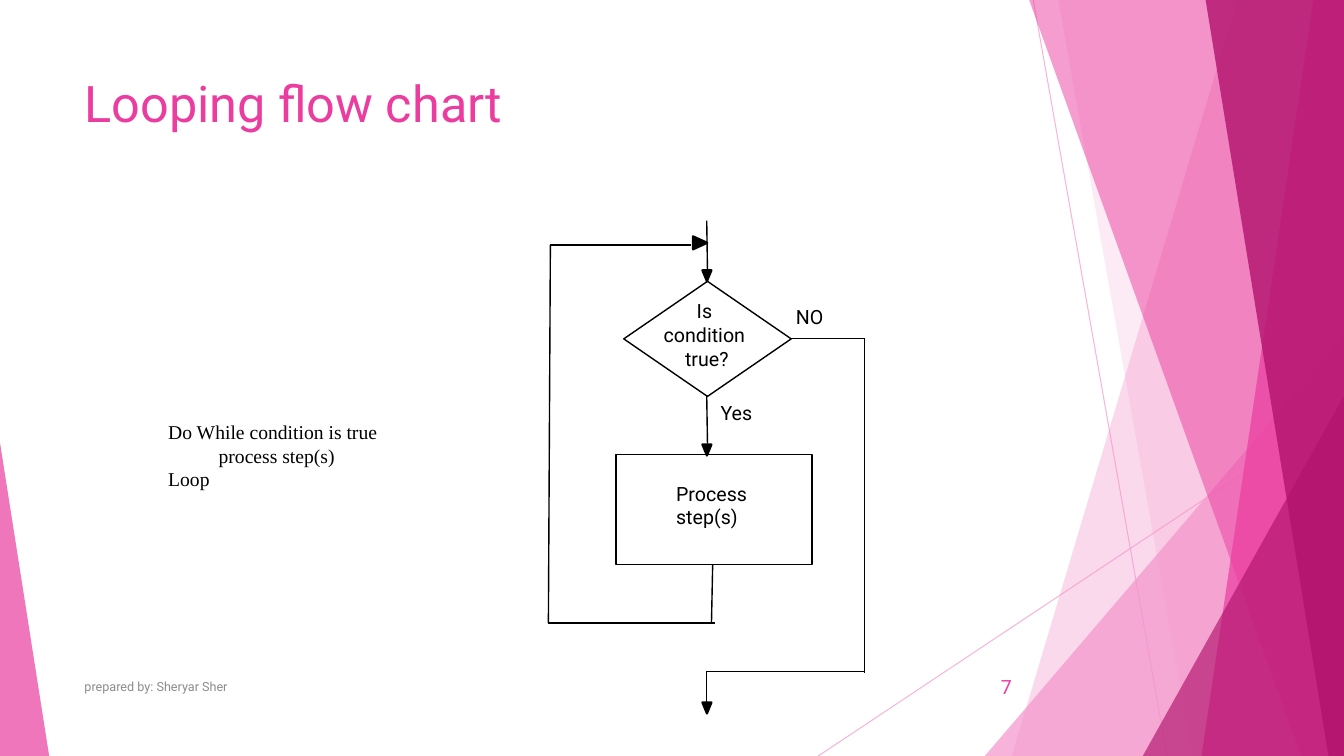
from lxml.etree import SubElement
from pptx import Presentation
from pptx.dml.color import RGBColor
from pptx.enum.shapes import MSO_CONNECTOR as CONN, MSO_SHAPE as SHAPE
from pptx.enum.text import MSO_ANCHOR as ANCHOR, MSO_AUTO_SIZE as FIT, PP_ALIGN as ALIGN
from pptx.oxml.ns import qn
from pptx.util import Cm, Pt

BLACK = RGBColor(0x00, 0x00, 0x00)
WHITE = RGBColor(0xFF, 0xFF, 0xFF)
GREY = RGBColor(0x8C, 0x8C, 0x8C)
PALE = RGBColor(0xF4, 0x96, 0xCB)
PINK = RGBColor(0xEB, 0x3D, 0x9F)
DARK = RGBColor(0xB2, 0x13, 0x6D)
W, H = 33.87, 19.05

TITLE = ("Looping flow chart", (1.88, 1.7, 23.88, 1.91))
RAYS = [((26.04, 0), (29.41, H)), ((W, 10.24), (20.62, H))]
DECOR = [
    ("band", (31.19, 25.5), PALE, 36),
    ("band", (26.67, 30.05), PALE, 20),
    ("triangle", (24.82, 8.46, 9.05, 10.59, 1), PALE, 72),
    ("band", (25.93, 32.79), PINK, 50),
    ("band", (33.1, 30.28), PINK, 70),
    ("band", (30.38, 33.48), DARK, 80),
    ("triangle", (28.8, 9.98, 5.07, 9.07, 1), DARK, 66),
    ("triangle", (0, 11.15, 1.24, 7.9, 0), PINK, 70),
]
BOXES = [
    (SHAPE.FLOWCHART_DECISION, (15.72, 7.09, 4.22, 2.9)),
    (SHAPE.RECTANGLE, (15.52, 11.46, 4.95, 2.77)),
]
ROUTES = [
    [(17.81, 5.56), (17.83, 6.81)],
    [(17.81, 9.96), (17.83, 11.18)],
    [(17.96, 14.22), (17.93, 15.7)],
    [(18.01, 15.7), (13.82, 15.7), (13.87, 6.17), (17.42, 6.17)],
    [(19.91, 8.53), (21.79, 8.53), (21.79, 16.97)],
    [(21.79, 16.92), (17.81, 16.92), (17.81, 17.7)],
]
HEADS = [
    ((17.7, 6.81, 0.23, 0.28), 180),
    ((17.7, 11.2, 0.23, 0.28), 180),
    ((17.7, 17.7, 0.23, 0.28), 180),
    ((17.48, 5.94, 0.33, 0.36), 90),
]
BODY = {"size": Pt(14), "name": "Roboto"}
CODE = {"size": Pt(14), "name": "Times New Roman"}
SMALL = {"size": Pt(9), "name": "Roboto"}
HEADING = {"size": Pt(36), "name": "Roboto"}
LABELS = [
    (["Yes"], (17.91, 9.98, 2.29, 0.86), BODY, BLACK, ALIGN.LEFT, ANCHOR.TOP),
    (["NO"], (19.81, 7.57, 2.29, 0.86), BODY, BLACK, ALIGN.LEFT, ANCHOR.TOP),
    (["Is ", "condition ", "true?"], (16.05, 7.42, 3.53, 2.06), BODY, BLACK,
     ALIGN.CENTER, ANCHOR.TOP),
    (["Process", "step(s)"], (16.79, 12.01, 4.34, 1.45), BODY, BLACK, ALIGN.LEFT, ANCHOR.TOP),
    (["Do While condition is true", "process step(s)", "Loop"], (3.99, 10.46, 8.79, 2.06),
     CODE, BLACK, ALIGN.LEFT, ANCHOR.TOP),
    (["prepared by: Sheryar Sher"], (1.88, 16.79, 17.5, 1.02), SMALL, GREY,
     ALIGN.LEFT, ANCHOR.MIDDLE),
    (["7"], (23.85, 16.79, 1.9, 1.02), BODY, PINK, ALIGN.RIGHT, ANCHOR.MIDDLE),
]
INDENTED = "process step(s)"


def set_alpha(fill_parent, percent):
    color = next(fill_parent.iter(qn("a:srgbClr")))
    SubElement(color, qn("a:alpha"), val=str(percent * 1000))


def paint(sp, fill, line=None, width=1):
    sp.shadow.inherit = False
    sp.fill.solid()
    sp.fill.fore_color.rgb = fill
    if line is None:
        sp.line.fill.background()
    else:
        sp.line.color.rgb = line
        sp.line.width = Pt(width)


def add_line(s, start, end, color, width):
    ln = s.shapes.add_connector(CONN.STRAIGHT, *map(Cm, start + end))
    ln.line.color.rgb = color
    ln.line.width = Pt(width)
    SubElement(ln._element.spPr, qn("a:effectLst"))
    return ln


def add_band(s, top_x, bottom_x):
    fb = s.shapes.build_freeform(Cm(top_x), Cm(-0.02))
    fb.add_line_segments([(Cm(x), Cm(y)) for x, y in [(W, -0.02), (W, H), (bottom_x, H)]])
    return fb.convert_to_shape()


def add_triangle(s, left, top, width, height, apex):
    sp = s.shapes.add_shape(SHAPE.ISOSCELES_TRIANGLE, *map(Cm, (left, top, width, height)))
    sp.adjustments[0] = apex
    return sp


def write(tf, lines, font, color, align, anchor):
    tf.word_wrap = True
    tf.auto_size = FIT.NONE
    tf.vertical_anchor = anchor
    for i, line in enumerate(lines):
        p = tf.add_paragraph() if i else tf.paragraphs[0]
        p.alignment = align
        if line == INDENTED:
            p._p.get_or_add_pPr().set("marL", str(Cm(1.27)))
        r = p.add_run()
        r.text = line
        for key, value in font.items():
            setattr(r.font, key, value)
        r.font.color.rgb = color


def main():
    prs = Presentation()
    prs.slide_width, prs.slide_height = Cm(W), Cm(H)
    s = prs.slides.add_slide(prs.slide_layouts[5])

    for start, end in RAYS:
        set_alpha(add_line(s, start, end, PALE, 0.75)._element.spPr, 70)
    for kind, place, color, alpha in DECOR:
        sp = (add_band if kind == "band" else add_triangle)(s, *place)
        paint(sp, color)
        set_alpha(sp._element.spPr, alpha)

    text, place = TITLE
    title = s.shapes.title
    title.left, title.top, title.width, title.height = map(Cm, place)
    write(title.text_frame, [text], HEADING, PINK, ALIGN.LEFT, ANCHOR.TOP)

    for shape, place in BOXES:
        paint(s.shapes.add_shape(shape, *map(Cm, place)), WHITE, BLACK)
    for route in ROUTES:
        for start, end in zip(route, route[1:]):
            add_line(s, start, end, BLACK, 1)
    for place, rotation in HEADS:
        head = add_triangle(s, *place, 0.5)
        head.rotation = rotation
        paint(head, BLACK, BLACK, 1.5)
    for lines, place, *style in LABELS:
        write(s.shapes.add_textbox(*map(Cm, place)).text_frame, lines, *style)

    prs.save("out.pptx")


if __name__ == "__main__":
    main()
